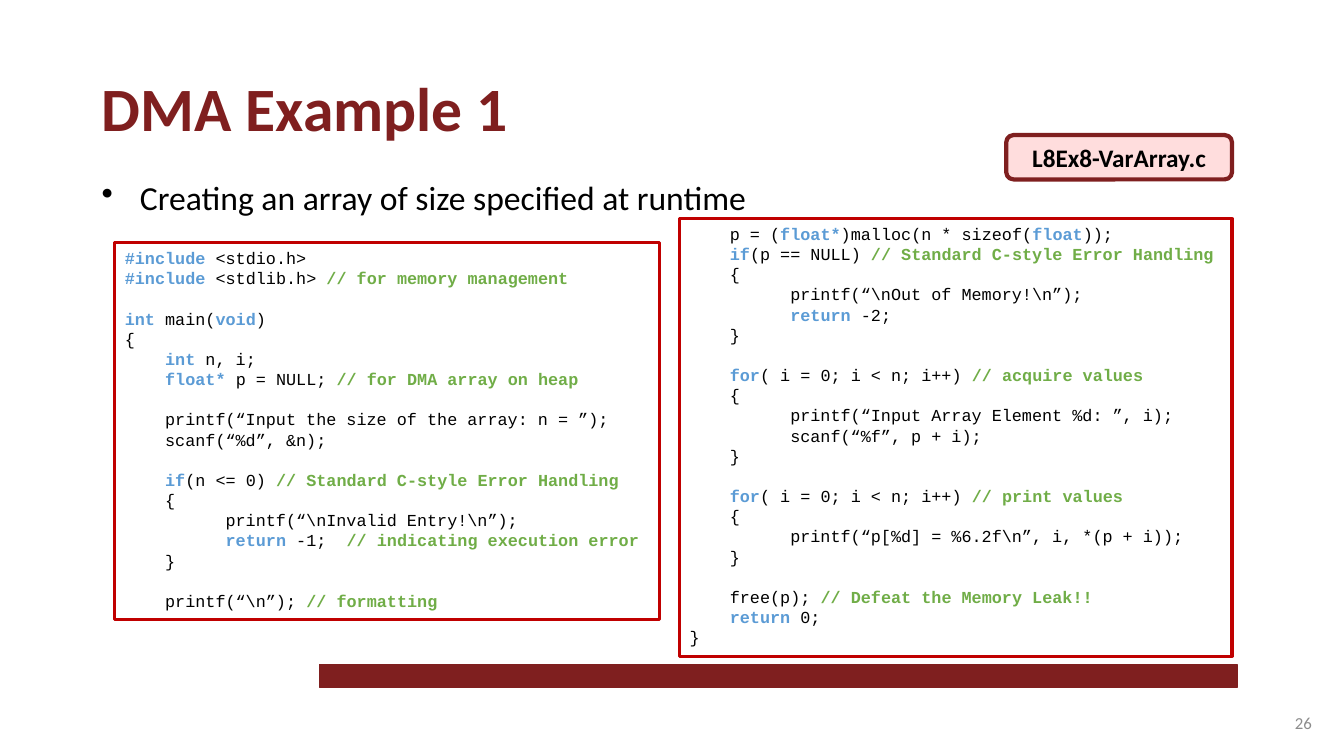
from dataclasses import dataclass

from lxml import etree
from pptx import Presentation
from pptx.dml.color import RGBColor
from pptx.enum.shapes import MSO_SHAPE
from pptx.enum.text import MSO_ANCHOR, PP_ALIGN
from pptx.oxml.ns import qn
from pptx.util import Inches, Pt

RECTANGLE, ROUNDED = MSO_SHAPE.RECTANGLE, MSO_SHAPE.ROUNDED_RECTANGLE
TOP, MIDDLE = MSO_ANCHOR.TOP, MSO_ANCHOR.MIDDLE
LEFT, CENTER, RIGHT = PP_ALIGN.LEFT, PP_ALIGN.CENTER, PP_ALIGN.RIGHT

# Backticks enclose keywords; everything from // on is a comment.
INPUT_CODE = r"""`#include `<stdio.h>
`#include `<stdlib.h> // for memory management

`int `main(`void`)
{
    `int` n, i;
    `float* `p = NULL; // for DMA array on heap

    printf(“Input the size of the array: n = ”);
    scanf(“%d”, &n);

    `if`(n <= 0) // Standard C-style Error Handling
    {
          printf(“\nInvalid Entry!\n”);
          `return` -1;  // indicating execution error
    }

    printf(“\n”); // formatting"""

ARRAY_CODE = r"""    p = (`float*`)malloc(n * sizeof(`float`));
    `if`(p == NULL) // Standard C-style Error Handling
    {
          printf(“\nOut of Memory!\n”);
          `return` -2;
    }

    `for`( i = 0; i < n; i++) // acquire values
    {
          printf(“Input Array Element %d: ”, i);
          scanf(“%f”, p + i);
    }

    `for`( i = 0; i < n; i++) // print values
    {
          printf(“p[%d] = %6.2f\n”, i, *(p + i));
    }

    free(p); // Defeat the Memory Leak!!
    `return `0;
}"""


@dataclass(frozen=True)
class Theme:
    text_font: str = "Calibri"
    code_font: str = "Courier New"
    title_size: int = 44
    body_size: int = 24
    badge_size: int = 18
    small_size: int = 12
    maroon: str = "7F1F1F"
    pink: str = "FFDDDD"
    red: str = "C00000"
    white: str = "FFFFFF"
    black: str = "000000"
    gray: str = "8C8C8C"
    keyword: str = "5B9BD5"
    comment: str = "70AD47"


class SlideBuilder:
    def __init__(self, slide, theme):
        self.slide = slide
        self.theme = theme

    def style(self, font, size, color, bold=False, name=None):
        font.name = name or self.theme.text_font
        font.size = Pt(size)
        font.bold = bold
        font.color.rgb = RGBColor.from_string(color)

    def set_text(self, shape, text, size, color, bold=False, align=LEFT, anchor=TOP):
        frame = shape.text_frame
        frame.word_wrap = True
        frame.vertical_anchor = anchor
        frame.text = text
        paragraph = frame.paragraphs[0]
        paragraph.alignment = align
        self.style(paragraph.font, size, color, bold)
        return paragraph

    def title(self, text, left, top, width, height):
        title = self.slide.shapes.title
        title.left, title.top = Inches(left), Inches(top)
        title.width, title.height = Inches(width), Inches(height)
        self.set_text(title, text, self.theme.title_size, self.theme.maroon, bold=True)

    def label(self, text, left, top, width, height, size, color, **layout):
        box = self.slide.shapes.add_textbox(
            Inches(left), Inches(top), Inches(width), Inches(height))
        return self.set_text(box, text, size, color, **layout)

    def bullet(self, text, left, top, width, height):
        paragraph = self.label(text, left, top, width, height,
                               self.theme.body_size, self.theme.black)
        properties = paragraph._p.get_or_add_pPr()
        indent = Inches(0.38)
        properties.set("marL", str(indent))
        properties.set("indent", str(-indent))
        mark = etree.Element(qn("a:buChar"), char="•")
        properties.insert(0, mark)

    def panel(self, kind, left, top, width, height, fill, line, weight):
        panel = self.slide.shapes.add_shape(
            kind, Inches(left), Inches(top), Inches(width), Inches(height))
        panel.shadow.inherit = False
        panel.fill.solid()
        panel.fill.fore_color.rgb = RGBColor.from_string(fill)
        panel.line.color.rgb = RGBColor.from_string(line)
        panel.line.width = Pt(weight)
        return panel

    def badge(self, text, left, top, width, height):
        badge = self.panel(ROUNDED, left, top, width, height,
                           self.theme.pink, self.theme.maroon, 3)
        self.set_text(badge, text, self.theme.badge_size, self.theme.black,
                      bold=True, align=CENTER, anchor=MIDDLE)

    def code(self, source, left, top, width, height):
        theme = self.theme
        box = self.panel(RECTANGLE, left, top, width, height,
                         theme.white, theme.red, 2.25)
        frame = box.text_frame
        frame.word_wrap = True
        frame.vertical_anchor = TOP
        for number, line in enumerate(source.split("\n")):
            paragraph = frame.paragraphs[0] if number == 0 else frame.add_paragraph()
            paragraph.alignment = LEFT
            self.style(paragraph.font, theme.small_size, theme.black,
                       name=theme.code_font)
            statement, slashes, remark = line.partition("//")
            parts = [(part, theme.keyword if index % 2 else None)
                     for index, part in enumerate(statement.split("`"))]
            parts.append((slashes + remark, theme.comment))
            for text, accent in parts:
                if not text:
                    continue
                run = paragraph.add_run()
                run.text = text
                if accent:
                    run.font.bold = True
                    run.font.color.rgb = RGBColor.from_string(accent)


def main():
    deck = Presentation()
    deck.slide_width, deck.slide_height = Inches(13.33), Inches(7.5)
    theme = Theme()
    page = SlideBuilder(deck.slides.add_slide(deck.slide_layouts[5]), theme)

    page.title("DMA Example 1", 0.91, 0.64, 10.9, 0.84)
    page.bullet("Creating an array of size specified at runtime",
                0.91, 1.71, 11.12, 1.11)
    page.panel(RECTANGLE, 3.17, 6.59, 9.1, 0.23, theme.maroon, theme.maroon, 1)
    page.label("26", 10.11, 6.97, 3, 0.4, theme.small_size, theme.gray,
               align=RIGHT, anchor=MIDDLE)
    page.code(INPUT_CODE, 1.14, 2.41, 5.4, 3.74)
    page.code(ARRAY_CODE, 6.74, 2.17, 5.48, 4.34)
    page.badge("L8Ex8-VarArray.c", 9.98, 1.34, 2.24, 0.44)

    deck.save("out.pptx")


if __name__ == "__main__":
    main()
